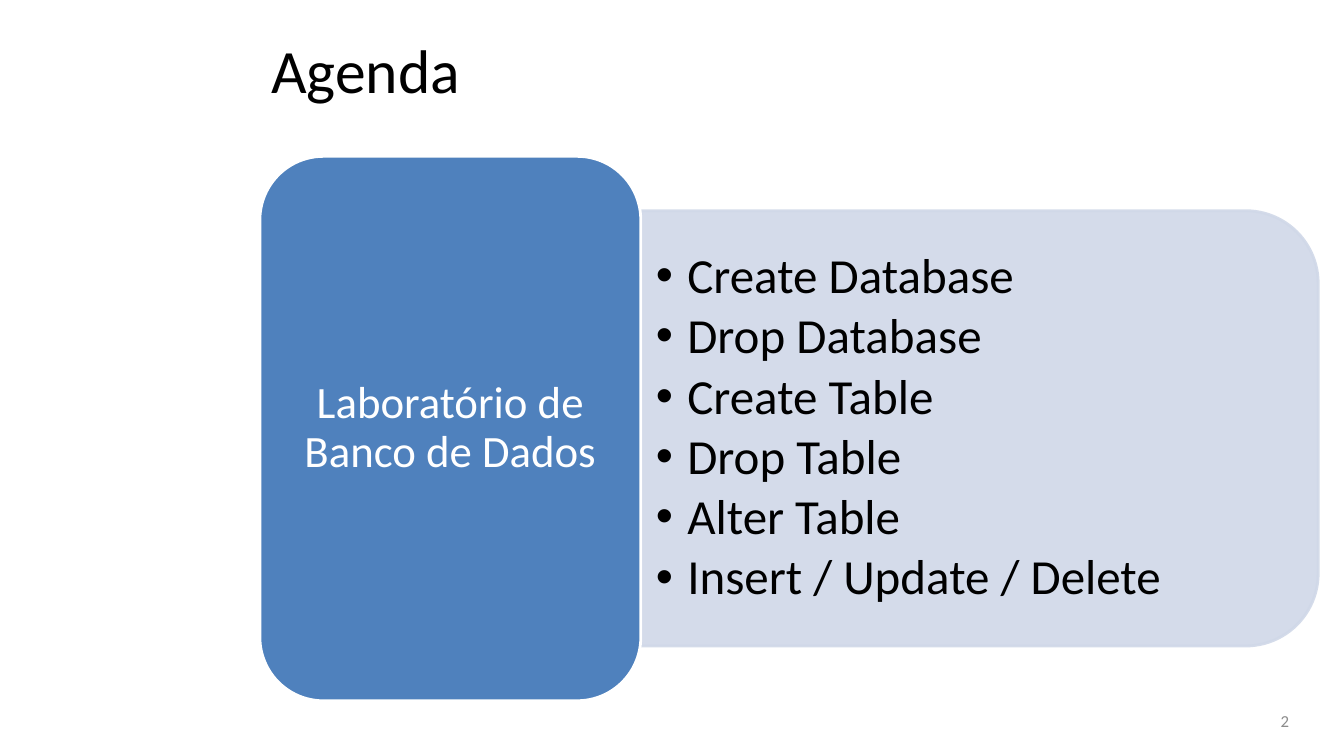
from lxml.etree import SubElement
from pptx import Presentation
from pptx.dml.color import RGBColor
from pptx.enum.shapes import MSO_SHAPE
from pptx.enum.text import MSO_ANCHOR, MSO_AUTO_SIZE, PP_ALIGN
from pptx.oxml.ns import qn
from pptx.util import Cm, Pt

BLACK = RGBColor(0x00, 0x00, 0x00)
WHITE = RGBColor(0xFF, 0xFF, 0xFF)
GRAY = RGBColor(0x8C, 0x8C, 0x8C)
BLUE = RGBColor(0x4F, 0x81, 0xBD)
PALE_BLUE = RGBColor(0xD0, 0xD8, 0xE8)

TOPICS = [
    "Create Database",
    "Drop Database",
    "Create Table",
    "Drop Table",
    "Alter Table",
    "Insert / Update / Delete",
]


def write_text(shape, lines, size, color, align=PP_ALIGN.LEFT, insets=(0.25, 0.13),
               line_spacing=1.0, space_after=0, bullet_indent=None):
    """Fill a shape with one formatted paragraph per line; insets and indent in cm."""
    frame = shape.text_frame
    frame.word_wrap = True
    frame.auto_size = MSO_AUTO_SIZE.NONE
    frame.vertical_anchor = MSO_ANCHOR.MIDDLE
    frame.margin_left = frame.margin_right = Cm(insets[0])
    frame.margin_top = frame.margin_bottom = Cm(insets[1])
    frame.text = "\n".join(lines)
    for paragraph in frame.paragraphs:
        paragraph.alignment = align
        paragraph.line_spacing = line_spacing
        paragraph.space_before = Pt(0)
        paragraph.space_after = Pt(space_after)
        font = paragraph.runs[0].font
        font.name = "Calibri"
        font.size = Pt(size)
        font.color.rgb = color
        if bullet_indent:
            properties = paragraph._p.get_or_add_pPr()
            properties.set("marL", str(Cm(bullet_indent)))
            properties.set("indent", str(-Cm(bullet_indent)))
            SubElement(properties, qn("a:buChar")).set("char", "•")


def add_panel(shapes, preset, box, fill_color, line_color):
    """Add a flat preset shape with a 2 pt outline; box in cm."""
    panel = shapes.add_shape(preset, *map(Cm, box))
    panel.shadow.inherit = False
    panel.fill.solid()
    panel.fill.fore_color.rgb = fill_color
    panel.line.color.rgb = line_color
    panel.line.width = Pt(2)
    return panel


presentation = Presentation()
presentation.slide_width = Cm(33.87)
presentation.slide_height = Cm(19.05)
slide = presentation.slides.add_slide(presentation.slide_layouts[1])

# Title
title = slide.shapes.title
title.left, title.top, title.width, title.height = map(Cm, (6.58, 0.15, 22.43, 3.18))
write_text(title, ["Agenda"], 44, BLACK)

# Slide number
number = slide.shapes.add_textbox(Cm(24.84), Cm(17.65), Cm(7.9), Cm(1.02))
write_text(number, ["2"], 12, GRAY, align=PP_ALIGN.RIGHT)

# Topic panel, turned so that its rounded corners face right
topic_panel = add_panel(slide.shapes, MSO_SHAPE.ROUND_2_SAME_RECTANGLE,
                        (19.2, 2.26, 10.97, 17.07), PALE_BLUE, PALE_BLUE)
topic_panel.rotation = 90
for color in topic_panel._element.spPr.iter(qn("a:srgbClr")):
    SubElement(color, qn("a:alpha")).set("val", "90000")

# Topic list, in front of its panel
topic_list = slide.placeholders[1]
topic_list.left, topic_list.top, topic_list.width, topic_list.height = map(
    Cm, (16.15, 5.84, 16.54, 9.91))
write_text(topic_list, TOPICS, 35, BLACK, insets=(0.38, 0.18),
           line_spacing=0.9, space_after=5.25, bullet_indent=0.79)
topic_panel._element.addnext(topic_list._element)

# Course block
course_block = add_panel(slide.shapes, MSO_SHAPE.ROUNDED_RECTANGLE,
                         (6.55, 3.94, 9.6, 13.72), BLUE, WHITE)
write_text(course_block, ["Laboratório de Banco de Dados"], 32, WHITE,
           align=PP_ALIGN.CENTER, insets=(0.33, 0.18), line_spacing=0.9, space_after=11.2)

presentation.save("out.pptx")
